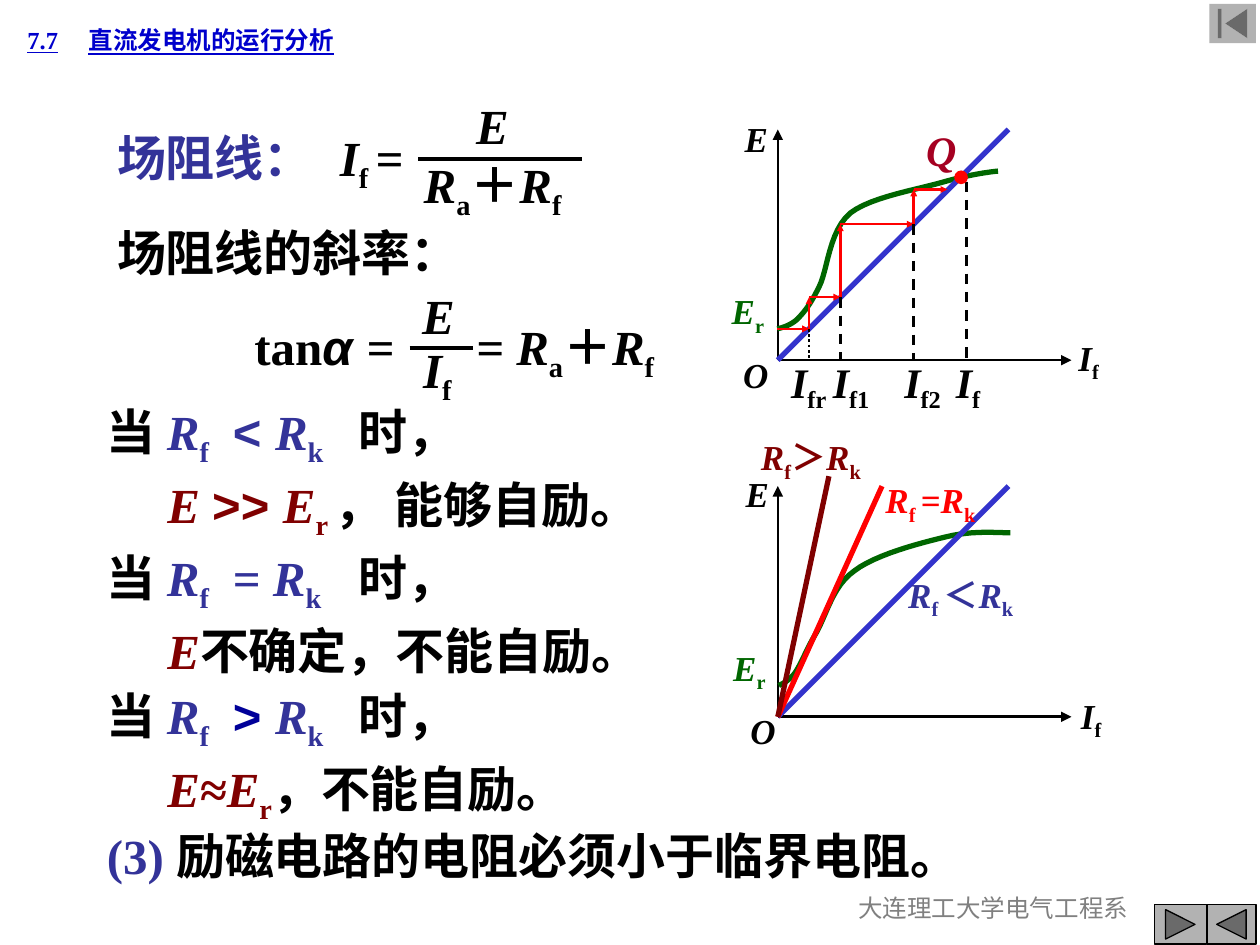
from itertools import pairwise

from lxml.etree import SubElement
from pptx import Presentation
from pptx.dml.color import RGBColor
from pptx.enum.dml import MSO_LINE
from pptx.enum.shapes import MSO_CONNECTOR, MSO_SHAPE
from pptx.enum.text import MSO_ANCHOR, MSO_AUTO_SIZE, PP_ALIGN
from pptx.oxml.ns import qn
from pptx.util import Cm, Pt

COLORS = {
    "black": "000000", "indigo": "333399", "maroon": "800000", "navy": "000099",
    "green": "006600", "blue": "3333CC", "red": "FF0000", "crimson": "A50021",
    "gray": "808080", "title": "0000CC", "button": "B2B2B2",
}
COLORS = {key: RGBColor.from_string(value) for key, value in COLORS.items()}


def write(paragraph, text, size=28, color="black", bold=True, underline=None):
    for chunk in text.split("|"):
        run = paragraph.add_run()
        run.text = chunk.lstrip("*_~")
        marks = chunk[:len(chunk) - len(run.text)]
        run.font.size = Pt(size)
        run.font.bold = bold
        run.font.italic = "*" in marks
        run.font.underline = underline
        run.font.name = "Arial" if "~" in marks else "Times New Roman"
        run.font.color.rgb = COLORS[color]
        if "_" in marks:
            run.font._element.set("baseline", "-25000")


def draw_line(start, end, color="black", width=1.5, arrow=None, dash=None):
    line = slide.shapes.add_connector(
        MSO_CONNECTOR.STRAIGHT, *[Cm(value) for value in (*start, *end)])
    line.line.color.rgb = COLORS[color]
    line.line.width = Pt(width)
    if dash:
        line.line.dash_style = dash
    if arrow:
        SubElement(line.line._get_or_add_ln(), qn("a:tailEnd"),
                   type="triangle", w=arrow, len=arrow)
    SubElement(line._element.spPr, qn("a:effectLst"))


prs = Presentation()
prs.slide_width, prs.slide_height = Cm(25.4), Cm(19.05)
slide = prs.slides.add_slide(prs.slide_layouts[1])

title = slide.shapes.title
title.left, title.top, title.width, title.height = Cm(0.3), Cm(0.38), Cm(8.94), Cm(0.86)
title.text_frame.vertical_anchor = MSO_ANCHOR.MIDDLE
title.text_frame.auto_size = MSO_AUTO_SIZE.NONE
heading = title.text_frame.paragraphs[0]
heading.alignment = PP_ALIGN.LEFT
tabs = SubElement(heading._p.get_or_add_pPr(), qn("a:tabLst"))
SubElement(tabs, qn("a:tab"), pos=str(Cm(1.23)), algn="l")
write(heading, "7.7\t直流发电机的运行分析", size=14, color="title", underline=True)

conditions = slide.placeholders[1]
conditions.left, conditions.top = Cm(1.9), Cm(7.97)
conditions.width, conditions.height = Cm(19.05), Cm(9.98)
conditions.text_frame.auto_size = MSO_AUTO_SIZE.NONE
condition_lines = [
    (0, 0, (2.6, 4.87),
     [("当 ", "black"), ("*R|_f|~\t< |*R|_k", "indigo"), ("\t时，", "black")]),
    (1.22, 3.5, (), [("*E |~>> |*E|_r ", "maroon"), ("， 能够自励。", "black")]),
    (0, 3.5, (2.6, 4.87),
     [("当 ", "black"), ("*R|_f|\t= |*R|_k", "indigo"), ("\t时，", "black")]),
    (1.22, 3.5, (), [("*E", "maroon"), ("不确定，不能自励。", "black")]),
    (0, 3.5, (2.7, 4.99),
     [("当 ", "black"), ("*R|_f", "indigo"), ("~\t> ", "navy"),
      ("*R|_k", "indigo"), ("\t时，", "black")]),
    (1.22, 3.5, (), [("*E|≈|*E|_r", "maroon"), ("，不能自励。", "black")]),
    (0, 0, (), [("(3) ", "indigo"), ("励磁电路的电阻必须小于临界电阻。", "black")]),
]
for number, (indent, space_before, stops, parts) in enumerate(condition_lines):
    body = conditions.text_frame
    paragraph = body.add_paragraph() if number else body.paragraphs[0]
    paragraph.space_before = Pt(space_before)
    properties = paragraph._p.get_or_add_pPr()
    properties.set("marL", str(Cm(indent)))
    properties.set("indent", "0")
    SubElement(properties, qn("a:buNone"))
    tabs = SubElement(properties, qn("a:tabLst"))
    for stop in stops:
        SubElement(tabs, qn("a:tab"), pos=str(Cm(stop)), algn="l")
    for text, color in parts:
        write(paragraph, text, color=color)

draw_line((8.43, 3.2), (11.73, 3.2), width=2.25)
draw_line((8.26, 7.01), (9.53, 7.01), width=2.25)

curves = [
    [(15.67, 6.63), (15.8, 6.6), (15.95, 6.55), (16.08, 6.43),
     (16.23, 6.27), (16.33, 6.15), (16.51, 5.79),
     (16.69, 5.44), (16.71, 4.65), (17.15, 4.29),
     (17.58, 3.96), (18.57, 3.81), (19.05, 3.66),
     (19.53, 3.53), (19.84, 3.48), (20.12, 3.45)],
    [(15.7, 13.82), (15.75, 13.79), (15.9, 13.74), (16.03, 13.56),
     (16.15, 13.39), (16.26, 13.08), (16.46, 12.75),
     (16.66, 12.4), (16.79, 11.81), (17.22, 11.51),
     (17.65, 11.18), (18.54, 10.95), (19.08, 10.82),
     (19.61, 10.69), (20.09, 10.74), (20.37, 10.74)],
]
axis_x, axis_length, axis_height, steps = 15.68, 5.92, 4.65, 12
for origin_y, curve in zip((7.26, 14.45), curves):
    origin = (axis_x, origin_y)
    draw_line(origin, (axis_x + axis_length, origin_y), arrow="med")
    draw_line(origin, (axis_x, origin_y - axis_height), arrow="med")
    points = []
    for first in range(0, len(curve) - 1, 3):
        for step in range(1, steps + 1):
            t = step / steps
            weights = ((1 - t) ** 3, 3 * t * (1 - t) ** 2, 3 * t * t * (1 - t), t ** 3)
            points.append([
                Cm(sum(w * point[axis] for w, point in zip(weights, curve[first:first + 4])))
                for axis in (0, 1)])
    builder = slide.shapes.build_freeform(Cm(curve[0][0]), Cm(curve[0][1]))
    builder.add_line_segments(points, close=False)
    magnetization = builder.convert_to_shape()
    magnetization.shadow.inherit = False
    magnetization.fill.background()
    magnetization.line.color.rgb = COLORS["green"]
    magnetization.line.width = Pt(3)
    draw_line(origin, (axis_x + axis_height, origin_y - axis_height), "blue", 3)

draw_line((axis_x, 14.45), (17.78, 9.8), "red", 3)
draw_line((axis_x, 14.45), (16.71, 9.6), "maroon", 3)

buildup = [(15.67, 6.63), (16.31, 6.63), (16.31, 5.99), (16.94, 5.99),
           (16.94, 4.52), (18.42, 4.52), (18.42, 3.82), (19.1, 3.82)]
for start, end in pairwise(buildup):
    draw_line(start, end, "red", arrow="sm")

drops = [(16.31, 6.63, MSO_LINE.ROUND_DOT), (16.94, 5.99, MSO_LINE.DASH),
         (18.42, 4.52, MSO_LINE.DASH), (19.48, 3.66, MSO_LINE.DASH)]
for x, y, dash in drops:
    draw_line((x, y), (x, 7.26), dash=dash)

LEFT, CENTER, RIGHT = PP_ALIGN.LEFT, PP_ALIGN.CENTER, PP_ALIGN.RIGHT
labels = [
    (2.11, 2.44, 4.88, 1.45, "场阻线：", 28, "indigo", LEFT),
    (2.11, 4.37, 8.26, 1.45, "场阻线的斜率：", 28, "black", LEFT),
    (6.6, 2.44, 1.93, 1.6, "*I|_f |*=", 28, "black", LEFT),
    (7.83, 1.8, 4.2, 2.79, "*E\n*R|_a|＋|*R|_f", 28, "black", CENTER),
    (4.88, 6.25, 3.81, 1.45, "tan|*~α |*=", 28, "black", LEFT),
    (8.26, 5.64, 1.17, 1.45, "*E", 28, "black", LEFT),
    (8.28, 6.71, 1.07, 1.6, "*I|_f", 28, "black", LEFT),
    (9.35, 6.25, 4.57, 1.6, "*= R|_a|＋|*R|_f", 28, "black", LEFT),
    (14.73, 7.01, 0.97, 1.12, "*O", 20, "black", LEFT),
    (21.49, 6.65, 0.91, 1.22, "*I|_f", 20, "black", LEFT),
    (14.76, 2.24, 0.97, 1.12, "*E", 20, "black", LEFT),
    (14.5, 5.72, 1.17, 1.22, "*E|_r", 20, "green", LEFT),
    (18.42, 2.39, 1.07, 1.27, "*Q", 24, "crimson", LEFT),
    (15.7, 7.06, 1.22, 1.42, "*I|_fr", 24, "black", LEFT),
    (16.54, 7.06, 1.24, 1.42, "*I|_f1", 24, "black", LEFT),
    (17.98, 7.06, 1.24, 1.42, "*I|_f2", 24, "black", LEFT),
    (19.02, 7.06, 0.99, 1.42, "*I|_f", 24, "black", LEFT),
    (14.88, 14.17, 0.99, 1.12, "*O", 20, "black", LEFT),
    (21.54, 13.87, 0.91, 1.22, "*I|_f", 20, "black", LEFT),
    (14.78, 9.4, 0.97, 1.12, "*E", 20, "black", RIGHT),
    (14.53, 12.9, 1.17, 1.22, "*E|_r", 20, "green", LEFT),
    (17.6, 9.53, 2.31, 1.22, "*R|_f |*=R|_k", 20, "red", LEFT),
    (18.06, 11.43, 2.95, 1.22, "*R|_f |＜|*R|_k", 20, "indigo", LEFT),
    (15.09, 8.66, 2.84, 1.22, "*R|_f|＞|*R|_k", 20, "maroon", LEFT),
    (16, 17.88, 8.05, 1.27, "大连理工大学电气工程系", 14, "gray", CENTER),
]
for x, y, width, height, text, size, color, alignment in labels:
    label = slide.shapes.add_textbox(Cm(x), Cm(y), Cm(width), Cm(height)).text_frame
    label.word_wrap = True
    if alignment == LEFT:
        label.margin_right = Cm(0)
    for number, row in enumerate(text.split("\n")):
        paragraph = label.add_paragraph() if number else label.paragraphs[0]
        paragraph.alignment = alignment
        write(paragraph, row, size=size, color=color, bold=color != "gray")

presets = [
    (MSO_SHAPE.OVAL, 19.25, 3.45, 0.25, 0.25, "red", "red"),
    (MSO_SHAPE.ACTION_BUTTON_FORWARD_OR_NEXT, 23.27, 18.24, 1.05, 0.79, "button", "black"),
    (MSO_SHAPE.ACTION_BUTTON_BACK_OR_PREVIOUS, 24.33, 18.24, 0.99, 0.79, "button", "black"),
    (MSO_SHAPE.ACTION_BUTTON_BEGINNING, 24.38, 0.08, 0.94, 0.79, "button", None),
]
for preset, x, y, width, height, fill, outline in presets:
    mark = slide.shapes.add_shape(preset, Cm(x), Cm(y), Cm(width), Cm(height))
    mark.shadow.inherit = False
    mark.fill.solid()
    mark.fill.fore_color.rgb = COLORS[fill]
    if outline:
        mark.line.color.rgb = COLORS[outline]
        mark.line.width = Pt(0.75)
    else:
        mark.line.fill.background()

prs.save("out.pptx")
